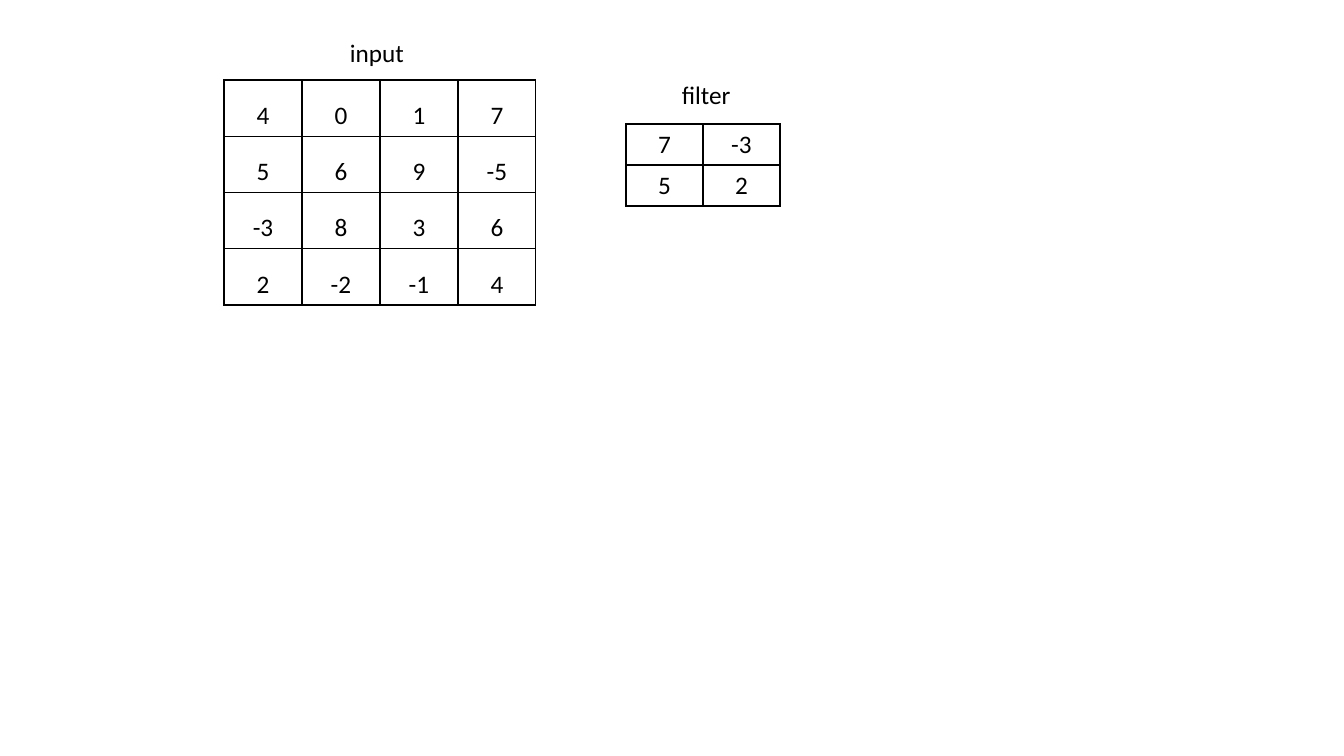
import pptx
import pptx.dml.color
import pptx.enum.text
import pptx.util
import lxml.etree

PX = 914400 / 100.8
COLORS = {"ink": "000000"}
INK = pptx.dml.color.RGBColor.from_string(COLORS["ink"])
NS = "http://schemas.openxmlformats.org/drawingml/2006/main"

# label, label box, table left and top, cell size, line spacing, values
GRIDS = [
    ("input", (340, 32, 75, 40), (224, 80), (78, 54), 1.5,
     [[4, 0, 1, 7], [5, 6, 9, -5], [-3, 8, 3, 6], [2, -2, -1, 4]]),
    ("filter", (672, 74, 70, 40), (626, 124), (77, 41), None,
     [[7, -3], [5, 2]]),
]


def emu(*sizes):
    return [round(size * PX) for size in sizes]


def write(frame, text):
    frame.text = text
    font = frame.paragraphs[0].runs[0].font
    font.name = "Calibri"
    font.size = pptx.util.Pt(18)
    font.bold = False
    font.color.rgb = INK


deck = pptx.Presentation()
deck.slide_width, deck.slide_height = emu(1344, 756)
slide = deck.slides.add_slide(deck.slide_layouts[6])

for label, box, spot, size, space, rows in GRIDS:
    wide, high = size
    area = emu(*spot, wide * len(rows[0]), high * len(rows))
    table = slide.shapes.add_table(len(rows), len(rows[0]), *area).table
    table.first_row = False
    table.horz_banding = False
    for col in table.columns:
        col.width = emu(wide)[0]
    for r, row in enumerate(rows):
        table.rows[r].height = emu(high)[0]
        for c, value in enumerate(row):
            cell = table.cell(r, c)
            write(cell.text_frame, str(value))
            para = cell.text_frame.paragraphs[0]
            para.alignment = pptx.enum.text.PP_ALIGN.CENTER
            para.line_spacing = space
            props = cell._tc.get_or_add_tcPr()
            for side in "LRTB":
                line = lxml.etree.SubElement(props, f"{{{NS}}}ln{side}", w="12700")
                fill = lxml.etree.SubElement(line, f"{{{NS}}}solidFill")
                lxml.etree.SubElement(fill, f"{{{NS}}}srgbClr", val=COLORS["ink"])
            cell.fill.background()

    frame = slide.shapes.add_textbox(*emu(*box)).text_frame
    frame.word_wrap = False
    frame.auto_size = pptx.enum.text.MSO_AUTO_SIZE.SHAPE_TO_FIT_TEXT
    write(frame, label)

deck.save("out.pptx")
